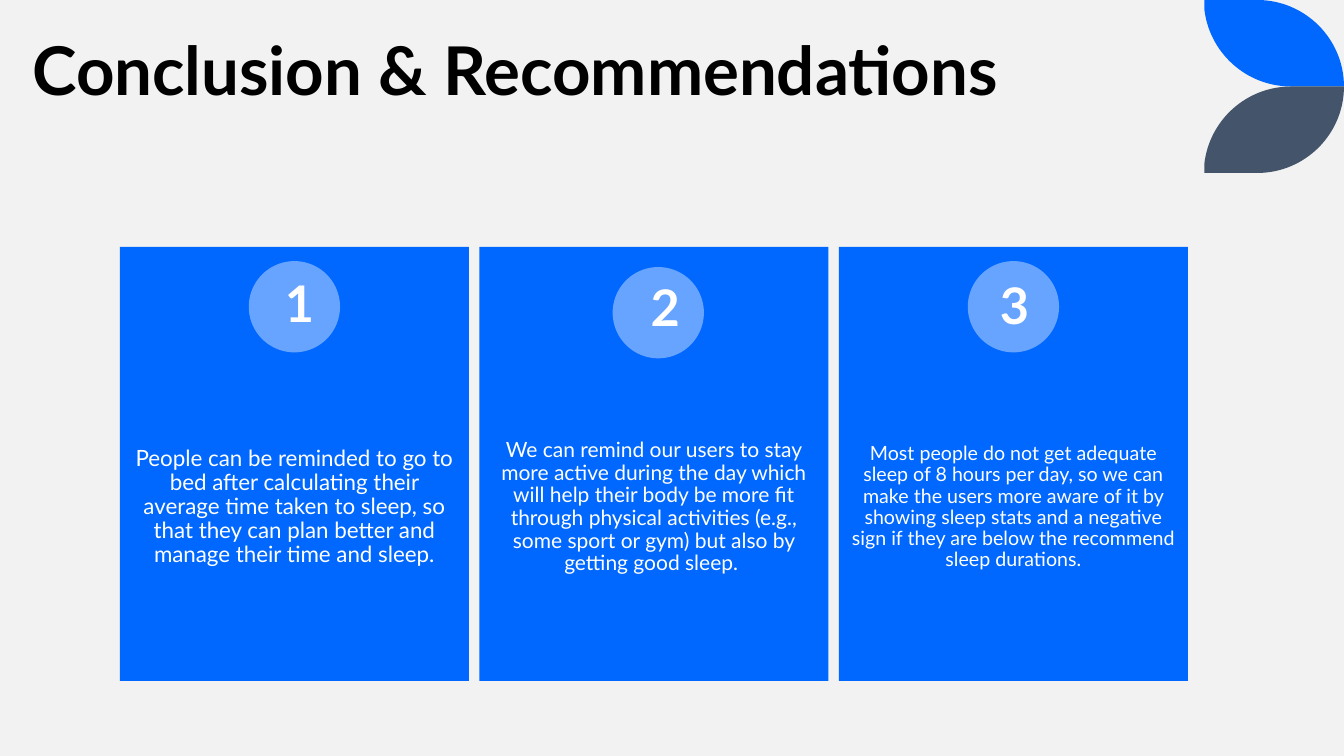
from dataclasses import dataclass

import lxml.etree
import pptx
import pptx.dml.color
import pptx.enum.shapes
import pptx.enum.text
import pptx.oxml.ns
import pptx.util
from pptx.util import Cm

SHAPES = pptx.enum.shapes.MSO_SHAPE
ALIGN = pptx.enum.text.PP_ALIGN
ANCHOR = pptx.enum.text.MSO_ANCHOR
AUTO_SIZE = pptx.enum.text.MSO_AUTO_SIZE


@dataclass(frozen=True)
class Theme:
    font: str = "Lato"
    background: str = "F2F2F2"
    accent: str = "0068FF"
    badge: str = "66A4FF"
    slate: str = "44546A"
    title_color: str = "000000"
    text_color: str = "FFFFFF"
    title_size: int = 48
    number_size: int = 36


@dataclass(frozen=True)
class Card:
    """One recommendation; badge and number positions are in centimetres."""
    text: str
    text_size: int
    inset: float
    badge_left: float
    badge_top: float
    number_left: float
    number_top: float


THEME = Theme()

CARDS = [
    Card("People can be reminded to go to bed after calculating their average time "
         "taken to sleep, so that they can plan better and manage their time and sleep.",
         16, 0.3, 6.27, 6.58, 6.93, 6.73),
    Card("We can remind our users to stay more active during the day which will help "
         "their body be more fit through physical activities (e.g., some sport or gym) "
         "but also by getting good sleep. ",
         15, 0.3, 15.44, 6.73, 16.15, 6.83),
    Card("Most people do not get adequate sleep of 8 hours per day, so we can make the "
         "users more aware of it by showing sleep stats and a negative sign if they are "
         "below the recommend sleep durations.",
         14, 0.28, 24.39, 6.58, 24.95, 6.78),
]

CARD_LEFT, CARD_TOP, CARD_WIDTH, CARD_HEIGHT = 3.02, 6.22, 8.8, 10.94
CARD_PITCH = 9.06
TEXT_TOP, TEXT_HEIGHT = 10.6, 4.37
BADGE_SIZE = 2.3
LEAF_LEFT, LEAF_HEIGHT = 30.35, 2.18

# Leaf outline: the three points from each index in LEAF_CURVES form a Bézier curve
LEAF_START = (0, 0)
LEAF_POINTS = [
    (1.33, 0),
    (2.54, 0), (3.52, 0.98), (3.52, LEAF_HEIGHT),
    (2.19, LEAF_HEIGHT),
    (1.05, LEAF_HEIGHT), (0.12, 1.32), (0, 0.22),
]
LEAF_CURVES = (1, 5)


def color(value: str) -> pptx.dml.color.RGBColor:
    return pptx.dml.color.RGBColor.from_string(value)


def paint(shape, fill: str) -> None:
    shape.shadow.inherit = False
    shape.fill.solid()
    shape.fill.fore_color.rgb = color(fill)
    shape.line.fill.background()


def write(frame, text: str, size: int, fill: str, bold: bool = False,
          alignment=ALIGN.CENTER, line_spacing: float = 1.0) -> None:
    frame.word_wrap = True
    frame.text = text
    paragraph = frame.paragraphs[0]
    paragraph.alignment = alignment
    paragraph.line_spacing = line_spacing
    paragraph.font.name = THEME.font
    paragraph.font.size = pptx.util.Pt(size)
    paragraph.font.bold = bold
    paragraph.font.color.rgb = color(fill)


def bend(shape, curve_starts: tuple[int, ...]) -> None:
    """Turn each run of three line segments into one cubic Bézier curve."""
    lines = list(shape._element.iter(pptx.oxml.ns.qn("a:lnTo")))
    for start in curve_starts:
        curve = lxml.etree.Element(pptx.oxml.ns.qn("a:cubicBezTo"))
        lines[start].addprevious(curve)
        for line in lines[start:start + 3]:
            curve.append(line[0])
            line.getparent().remove(line)


def add_leaf(slide, fill: str, base: float, direction: int) -> None:
    """Draw a leaf from its pointed corner, downwards (1) or upwards (-1)."""
    start, *points = [(Cm(LEAF_LEFT + x), Cm(base + direction * y))
                      for x, y in [LEAF_START, *LEAF_POINTS]]
    builder = slide.shapes.build_freeform(*start)
    builder.add_line_segments(points, close=True)
    leaf = builder.convert_to_shape()
    bend(leaf, LEAF_CURVES)
    paint(leaf, fill)


def add_title(slide, text: str) -> None:
    title = slide.shapes.title
    title.left, title.top, title.width, title.height = Cm(0.56), Cm(-0.79), Cm(27.15), Cm(3.68)
    frame = title.text_frame
    frame.vertical_anchor = ANCHOR.BOTTOM
    frame.auto_size = AUTO_SIZE.NONE
    write(frame, text, THEME.title_size, THEME.title_color, True, ALIGN.LEFT, 0.9)


def add_card(slide, card: Card, index: int) -> None:
    left = Cm(CARD_LEFT + index * CARD_PITCH)
    panel = slide.shapes.add_shape(
        SHAPES.RECTANGLE, left, Cm(CARD_TOP), Cm(CARD_WIDTH), Cm(CARD_HEIGHT))
    paint(panel, THEME.accent)

    # Recommendation text
    frame = slide.shapes.add_textbox(
        left, Cm(TEXT_TOP), Cm(CARD_WIDTH), Cm(TEXT_HEIGHT)).text_frame
    frame.margin_left = frame.margin_right = Cm(card.inset)
    frame.margin_top = frame.margin_bottom = Cm(card.inset)
    frame.vertical_anchor = ANCHOR.MIDDLE
    write(frame, card.text, card.text_size, THEME.text_color, line_spacing=0.9)

    # Numbered badge
    badge = slide.shapes.add_shape(
        SHAPES.OVAL, Cm(card.badge_left), Cm(card.badge_top), Cm(BADGE_SIZE), Cm(BADGE_SIZE))
    paint(badge, THEME.badge)
    number = slide.shapes.add_textbox(
        Cm(card.number_left), Cm(card.number_top), Cm(0.97), Cm(1.8)).text_frame
    number.auto_size = AUTO_SIZE.SHAPE_TO_FIT_TEXT
    write(number, str(index + 1), THEME.number_size, THEME.text_color, bold=True)


def main() -> None:
    presentation = pptx.Presentation()
    presentation.slide_width, presentation.slide_height = Cm(33.87), Cm(19.05)
    slide = presentation.slides.add_slide(presentation.slide_layouts.get_by_name("Title Only"))
    slide.background.fill.solid()
    slide.background.fill.fore_color.rgb = color(THEME.background)

    # Corner leaves
    add_leaf(slide, THEME.accent, 0, 1)
    add_leaf(slide, THEME.slate, 2 * LEAF_HEIGHT, -1)

    # Title and recommendation cards
    add_title(slide, "Conclusion & Recommendations")
    for index, card in enumerate(CARDS):
        add_card(slide, card, index)

    presentation.save("out.pptx")


if __name__ == "__main__":
    main()
